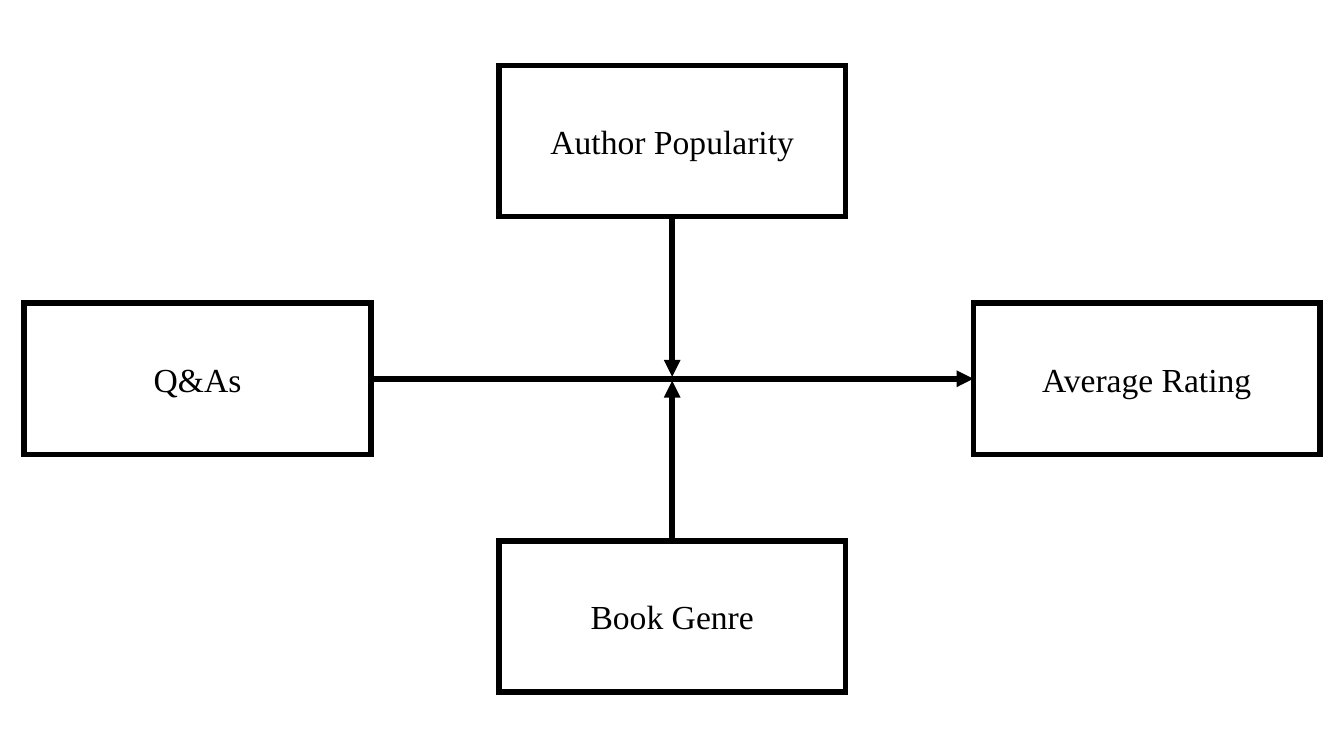
from pptx import Presentation
from pptx.dml.color import RGBColor
from pptx.enum.shapes import MSO_CONNECTOR, MSO_SHAPE
from pptx.enum.text import MSO_ANCHOR, PP_ALIGN
from pptx.oxml.ns import qn
from pptx.util import Cm, Pt
from lxml import etree

RECTANGLE = MSO_SHAPE.RECTANGLE
STRAIGHT = MSO_CONNECTOR.STRAIGHT
MIDDLE = MSO_ANCHOR.MIDDLE
CENTER = PP_ALIGN.CENTER

BLACK = RGBColor(0x00, 0x00, 0x00)
WHITE = RGBColor(0xFF, 0xFF, 0xFF)

BLANK_LAYOUT = 6
TOP, LEFT, BOTTOM, RIGHT = range(4)
BOX_WIDTH, BOX_HEIGHT = 8.74, 3.81
FIRST_LEFT, FIRST_TOP = 0.61, 1.65
COLUMN_STEP, ROW_STEP = 11.96, 5.99
CENTER_X = FIRST_LEFT + COLUMN_STEP + BOX_WIDTH / 2
CENTER_Y = FIRST_TOP + ROW_STEP + BOX_HEIGHT / 2
TIP_GAP = 0.05
LINE_WIDTH = Pt(4)
LABEL_FORMAT = {"name": "Times New Roman", "size": Pt(24)}


def set_line(shape):
    shape.line.color.rgb = BLACK
    shape.line.width = LINE_WIDTH
    line_element = shape._element.spPr.find(qn("a:ln"))
    etree.SubElement(line_element, qn("a:miter"), lim="800000")
    return line_element


def add_box(slide, label, column, row):
    shape = slide.shapes.add_shape(
        RECTANGLE,
        Cm(FIRST_LEFT + column * COLUMN_STEP),
        Cm(FIRST_TOP + row * ROW_STEP),
        Cm(BOX_WIDTH),
        Cm(BOX_HEIGHT),
    )
    shape.shadow.inherit = False
    shape.fill.solid()
    shape.fill.fore_color.rgb = WHITE
    set_line(shape)
    shape.text_frame.vertical_anchor = MIDDLE
    paragraph = shape.text_frame.paragraphs[0]
    paragraph.alignment = CENTER
    run = paragraph.add_run()
    run.text = label
    for attribute, value in LABEL_FORMAT.items():
        setattr(run.font, attribute, value)
    run.font.color.rgb = BLACK
    return shape


def add_arrow(slide, source, side, tip_x, tip_y):
    connector = slide.shapes.add_connector(
        STRAIGHT, Cm(CENTER_X), Cm(CENTER_Y), Cm(tip_x), Cm(tip_y)
    )
    connector.begin_connect(source, side)
    line_element = set_line(connector)
    etree.SubElement(line_element, qn("a:tailEnd"), type="triangle")
    etree.SubElement(connector._element.spPr, qn("a:effectLst"))
    return connector


def main():
    presentation = Presentation()
    presentation.slide_width = Cm(33.87)
    presentation.slide_height = Cm(19.05)
    slide = presentation.slides.add_slide(
        presentation.slide_layouts[BLANK_LAYOUT]
    )

    questions = add_box(slide, "Q&As", 0, 1)
    rating = add_box(slide, "Average Rating", 2, 1)
    popularity = add_box(slide, "Author Popularity", 1, 0)
    genre = add_box(slide, "Book Genre", 1, 2)

    rating_left = FIRST_LEFT + 2 * COLUMN_STEP
    effect = add_arrow(slide, questions, RIGHT, rating_left, CENTER_Y)
    effect.end_connect(rating, LEFT)
    add_arrow(slide, popularity, BOTTOM, CENTER_X, CENTER_Y - TIP_GAP)
    add_arrow(slide, genre, TOP, CENTER_X, CENTER_Y + TIP_GAP)

    presentation.save("out.pptx")


if __name__ == "__main__":
    main()
